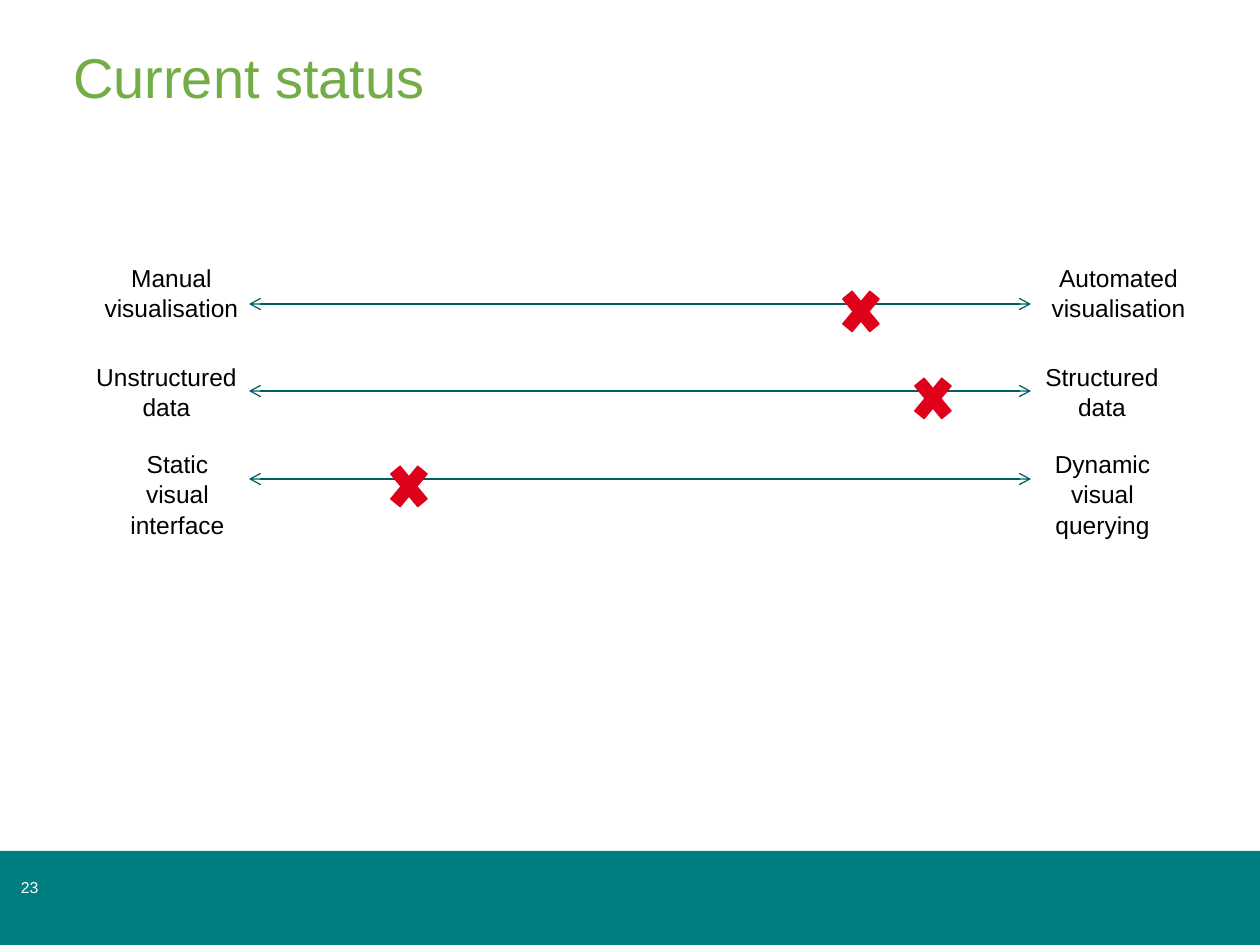
from pptx import Presentation
from pptx.dml.color import RGBColor
from pptx.enum import shapes as kinds, text as txt
from pptx.oxml.ns import qn
from pptx.util import Emu, Pt
from lxml import etree

SCALE = 914400 / 126  # EMU per px
FONT = "Arial"
TEAL, DARK, RED, GREEN = "007E82", "005E62", "DF001A", "72AD46"
BLACK, WHITE = "000000", "FFFFFF"

# Axes: y, cross x, then (text, x, y, width, height) of each end
AXES = [
    (304, 835, ("Manual visualisation", 84, 255, 175, 91),
     ("Automated visualisation", 1031, 255, 175, 91)),
    (391, 907, ("Unstructured data", 74, 354, 185, 91),
     ("Structured data", 1021, 354, 162, 91)),
    (479, 383, ("Static visual interface", 116, 441, 123, 102),
     ("Dynamic visual querying", 1031, 441, 143, 102)),
]
LEFT, RIGHT = 249, 1031


def px(*vals):
    return [Emu(round(v * SCALE)) for v in vals]


def color(code):
    return RGBColor.from_string(code)


def write(frame, words, size, code, align=txt.PP_ALIGN.LEFT, inset=None):
    frame.word_wrap = True
    frame.auto_size = txt.MSO_AUTO_SIZE.NONE
    frame.vertical_anchor = txt.MSO_ANCHOR.TOP
    if inset is not None:
        frame.margin_left = frame.margin_right = inset
        frame.margin_top = frame.margin_bottom = inset
    para = frame.paragraphs[0]
    para.alignment = align
    run = para.add_run()
    run.text = words
    run.font.name = FONT
    run.font.size = Pt(size)
    run.font.color.rgb = color(code)
    return para


def add_title(slide, words):
    title = slide.shapes.title
    title.left, title.top, title.width, title.height = px(73, 42, 1124, 105)
    write(title.text_frame, words, 32, GREEN, inset=0)


def add_solid(slide, kind, box, code):
    shape = slide.shapes.add_shape(kind, *px(*box))
    shape.shadow.inherit = False
    shape.fill.solid()
    shape.fill.fore_color.rgb = color(code)
    shape.line.color.rgb = color(code)
    shape.line.width = Pt(0.75)
    return shape


def add_label(slide, words, *box):
    frame = slide.shapes.add_textbox(*px(*box)).text_frame
    para = write(frame, words, 14, BLACK, txt.PP_ALIGN.CENTER)
    para.line_spacing = 1.05


def add_arrow(slide, y):
    line = slide.shapes.add_connector(
        kinds.MSO_CONNECTOR.STRAIGHT, *px(LEFT, y, RIGHT, y))
    line.line.color.rgb = color(DARK)
    line.line.width = Pt(0.75)
    ln = line.line._get_or_add_ln()
    for end in ("a:headEnd", "a:tailEnd"):
        etree.SubElement(ln, qn(end)).set("type", "arrow")
    etree.SubElement(line._element.spPr, qn("a:effectLst"))


def add_axis(slide, y, cross, start, end):
    add_label(slide, *start)
    add_label(slide, *end)
    add_arrow(slide, y)
    add_solid(slide, kinds.MSO_SHAPE.MATH_MULTIPLY,
              (cross, y - 24, 52, 63), RED)


def main():
    deck = Presentation()
    deck.slide_width, deck.slide_height = px(1260, 945)
    slide = deck.slides.add_slide(deck.slide_layouts[5])

    # Footer band and slide number
    band = add_solid(slide, kinds.MSO_SHAPE.RECTANGLE,
                     (0, 851, 1260, 94), TEAL)
    band.line.fill.background()
    number = slide.shapes.add_textbox(*px(21, 878, 42, 32))
    write(number.text_frame, "23", 9, WHITE, inset=0)

    # Title and axes
    add_title(slide, "Current status")
    for axis in AXES:
        add_axis(slide, *axis)

    deck.save("out.pptx")


if __name__ == "__main__":
    main()
